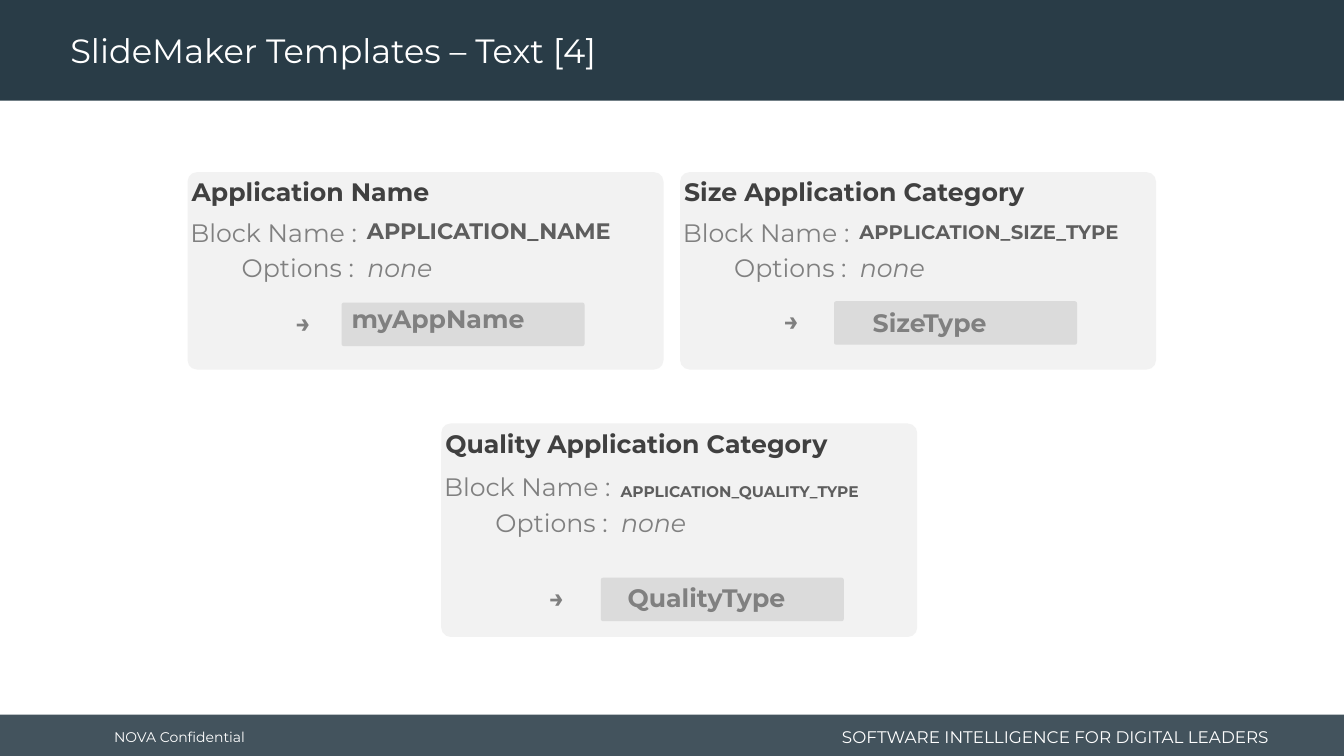
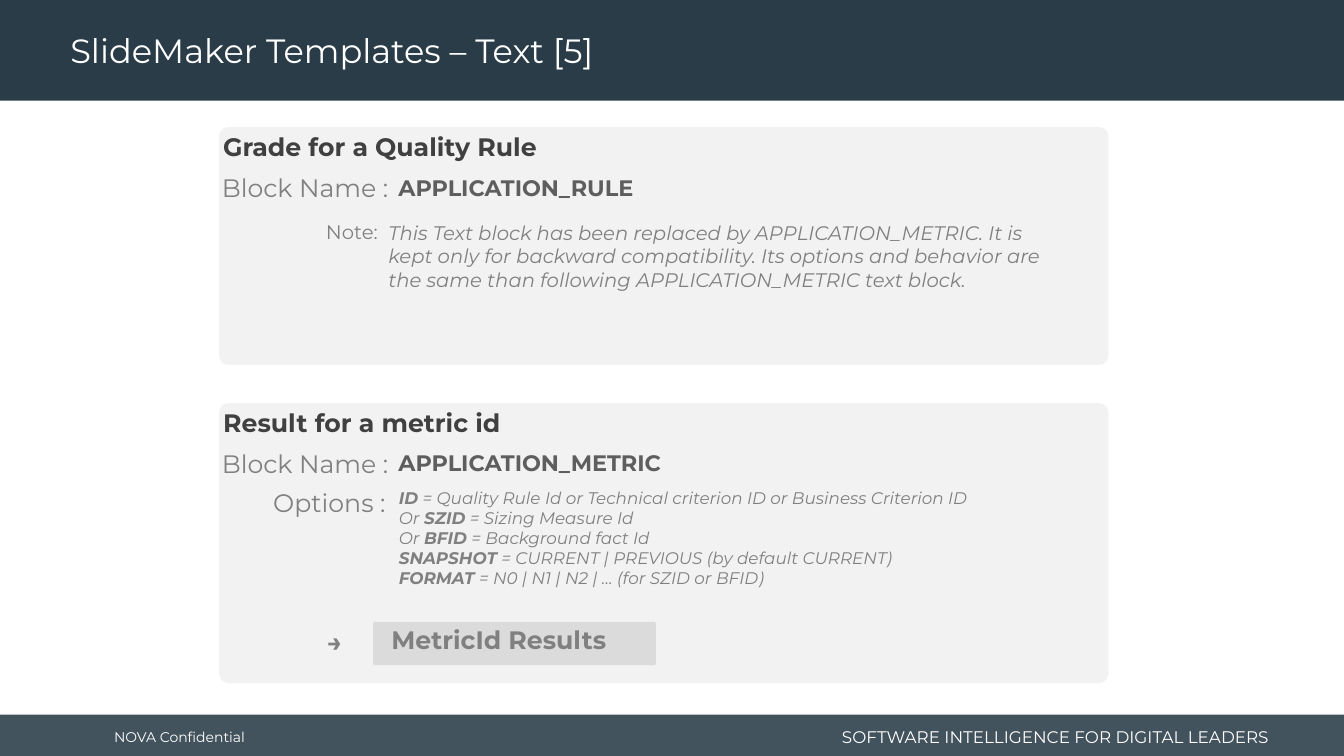
"""Build two slides that describe text blocks for report templates."""
from dataclasses import dataclass

import pptx
import pptx.dml.color
import pptx.enum.shapes
import pptx.enum.text
import pptx.oxml
import pptx.util
from lxml import etree

Pt = pptx.util.Pt
Shape = pptx.enum.shapes.MSO_SHAPE
Align = pptx.enum.text.PP_ALIGN
Anchor = pptx.enum.text.MSO_ANCHOR


@dataclass(frozen=True)
class Theme:
    font: str = "Montserrat"
    navy: str = "293C47"
    white: str = "FFFFFF"
    panel: str = "F2F2F2"
    pill: str = "BFBFBF"
    dark: str = "404040"
    code: str = "5E5E5E"
    gray: str = "808080"
    title: int = 24
    body: int = 18
    name: int = 16
    note: int = 14
    small: int = 12
    tiny: int = 10


class Deck:
    def __init__(self, theme):
        self.theme = theme
        self.prs = pptx.Presentation()
        self.prs.slide_width = Pt(960)
        self.prs.slide_height = Pt(540)
        self.slide = None

    def style(self, run, size, color, bold=False, slant=False):
        font = run.font
        font.name = self.theme.font
        font.size = Pt(size)
        font.bold = bold
        font.italic = slant
        font.color.rgb = pptx.dml.color.RGBColor.from_string(color)

    def box(self, x, y, w, h, color, round=0, alpha=100):
        kind = Shape.ROUNDED_RECTANGLE if round else Shape.RECTANGLE
        shape = self.slide.shapes.add_shape(kind, Pt(x), Pt(y), Pt(w), Pt(h))
        shape.shadow.inherit = False
        shape.line.fill.background()
        shape.fill.solid()
        shape.fill.fore_color.rgb = pptx.dml.color.RGBColor.from_string(color)
        if round:
            shape.adjustments[0] = round / min(w, h)
        if alpha < 100:
            tone = shape.fill._xPr.find(".//" + pptx.oxml.ns.qn("a:srgbClr"))
            etree.SubElement(tone, pptx.oxml.ns.qn("a:alpha"), val=str(alpha * 1000))

    def text(self, x, y, w, h, words, size, color, bold=False, slant=False,
             align=Align.LEFT, anchor=Anchor.TOP, side=7.2):
        frame = self.slide.shapes.add_textbox(Pt(x), Pt(y), Pt(w), Pt(h)).text_frame
        frame.word_wrap = True
        frame.vertical_anchor = anchor
        frame.margin_left = frame.margin_right = Pt(side)
        frame.text = words
        for para in frame.paragraphs:
            para.alignment = align
            for run in para.runs:
                self.style(run, size, color, bold, slant)
        return frame

    def page(self, title):
        t = self.theme
        self.slide = self.prs.slides.add_slide(self.prs.slide_layouts[6])
        self.box(0, 510.5, 960, 29.5, t.navy, alpha=88)
        self.box(0, 0, 960, 72, t.navy)
        self.text(74.5, 512, 150, 29, "NOVA Confidential", t.tiny, t.white,
                  anchor=Anchor.MIDDLE)
        self.text(584, 515, 329.5, 23, "SOFTWARE INTELLIGENCE FOR DIGITAL LEADERS",
                  t.small, t.white, align=Align.RIGHT, anchor=Anchor.MIDDLE)
        frame = self.text(43.2, 3, 690, 69, title, t.title, t.white, anchor=Anchor.MIDDLE)
        frame.paragraphs[0].line_spacing = 0.9

    def label(self, x, y, words, right=128, width=145, size=None):
        self.text(x + right - width, y, width, 29, words, size or self.theme.body,
                  self.theme.gray, align=Align.RIGHT)

    def card(self, x, y, w, h, head, name, size=None, row=28.5, drop=0):
        t = self.theme
        self.box(x, y, w, h, t.panel, round=6.8)
        self.text(x - 11.5, y - 0.3, 340, 29, head, t.body, t.dark, bold=True, side=14.4)
        self.label(x, y + row, "Block Name :")
        self.text(x + 121, y + row + drop, 218, 27, name, size or t.name, t.code, bold=True)

    def choice(self, x, y):
        self.label(x, y, "Options :", right=126, width=105)

    def none(self, x, y):
        t = self.theme
        self.choice(x, y)
        self.text(x + 121.3, y, 218, 29, "none", t.body, t.gray, slant=True)

    def list(self, x, y, rows):
        t = self.theme
        self.choice(x, y)
        leads = "\n".join(lead for lead, key, rest in rows)
        frame = self.text(x + 121.3, y, 502, 80, leads, t.small, t.gray, slant=True)
        for para, (lead, key, rest) in zip(frame.paragraphs, rows):
            for words, bold in ((key, True), (rest, False)):
                run = para.add_run()
                run.text = words
                self.style(run, t.small, t.gray, bold, True)

    def note(self, x, y, words):
        t = self.theme
        self.label(x, y, "Note:", right=120.5, width=65, size=t.note)
        frame = self.text(x + 117.3, y + 0.5, 490, 58, words, t.note, t.gray,
                          slant=True, side=3.6)
        para = frame.paragraphs[0]
        para.space_before, para.space_after = Pt(3), Pt(4)

    def result(self, x, y, words, left=110, width=173.5, shift=0, rise=0, arrow=70):
        t = self.theme
        self.text(x + arrow, y - 0.5, 34.5, 32, "→", t.body, t.gray, bold=True)
        self.box(x + left, y, width, 31, t.pill, round=1.5, alpha=45)
        self.text(x + left + shift, y - rise, 215, 32, words, t.body, t.gray, bold=True)

    def save(self):
        self.prs.save("out.pptx")


def main():
    deck = Deck(Theme())

    deck.page("SlideMaker Templates – Text [4]")
    x, y = 134, 123
    deck.card(x, y, 340, 141, "Application Name", "APPLICATION_NAME")
    deck.none(x, y + 53.4)
    deck.result(x, y + 93.2, "myAppName", rise=3)
    x = 485.8
    deck.card(x, y, 340, 141, "Size Application Category", "APPLICATION_SIZE_TYPE",
              size=14, drop=2)
    deck.none(x, y + 53.4)
    deck.result(x, y + 92.2, "SizeType", shift=20.5, rise=-0.7, arrow=67)
    x, y = 315.2, 302.5
    deck.card(x, y, 340, 152.5, "Quality Application Category", "APPLICATION_QUALITY_TYPE",
              size=11, row=30.6, drop=7.4)
    deck.none(x, y + 56.2)
    deck.result(x, y + 110.2, "QualityType", left=114, shift=12)

    deck.page("SlideMaker Templates – Text [5]")
    x, y = 156.5, 90.7
    deck.card(x, y, 635.3, 170, "Grade for a Quality Rule", "APPLICATION_RULE",
              row=29, drop=1)
    deck.note(x, y + 62.8, "This Text block has been replaced by APPLICATION_METRIC. "
              "It is kept only for backward compatibility. Its options and behavior "
              "are the same than following APPLICATION_METRIC text block.")
    y = 288
    deck.card(x, y, 635.3, 200, "Result for a metric id", "APPLICATION_METRIC",
              row=29, drop=0.5)
    deck.list(x, y + 56.7, [
        ("", "ID", " = Quality Rule Id or Technical criterion ID or Business Criterion ID"),
        ("Or ", "SZID", " = Sizing Measure Id"),
        ("Or ", "BFID", " = Background fact Id"),
        ("", "SNAPSHOT", " = CURRENT | PREVIOUS (by default CURRENT)"),
        ("", "FORMAT", " = N0 | N1 | N2 | … (for SZID or BFID)"),
    ])
    deck.result(x, y + 156.2, "MetricId Results", width=202, shift=6, rise=1.5)

    deck.save()


if __name__ == "__main__":
    main()
